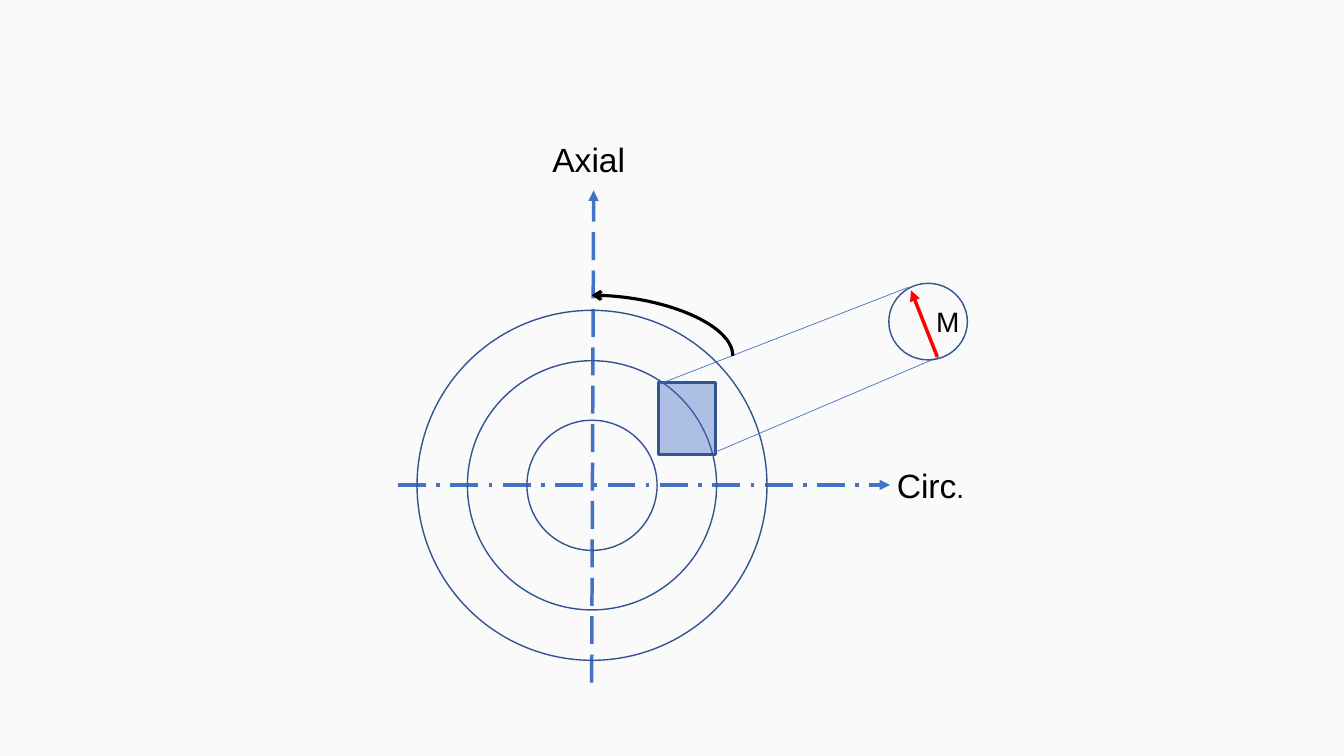
from pptx import Presentation
from pptx.dml.color import RGBColor
from pptx.enum.dml import MSO_LINE_DASH_STYLE as Dash
from pptx.enum.shapes import MSO_CONNECTOR as Route, MSO_SHAPE as Preset
from pptx.enum.text import MSO_AUTO_SIZE as AutoSize
from pptx.oxml.ns import qn
from pptx.util import Cm, Pt
from lxml.etree import SubElement

BACKGROUND = RGBColor(0xFA, 0xFA, 0xFA)
BLUE = RGBColor(0x44, 0x72, 0xC4)
OUTLINE = RGBColor(0x32, 0x54, 0x91)
RED = RGBColor(0xFF, 0x00, 0x00)
BLACK = RGBColor(0x00, 0x00, 0x00)

RING_CENTRE = (14.92, 12.23)
RING_RADII = (1.64, 3.14, 4.41)


def add_line(slide, start, end, color, width, dash=None, head=None, tail=None,
             route=Route.STRAIGHT):
    """Draw a line; head and tail name the arrowheads at start and end."""
    line = slide.shapes.add_connector(route, *map(Cm, start + end))
    line.line.color.rgb = color
    line.line.width = Pt(width)
    if dash:
        line.line.dash_style = dash
    properties = line._element.spPr
    outline = properties.find(qn("a:ln"))
    for end_tag, arrowhead in (("a:headEnd", head), ("a:tailEnd", tail)):
        if arrowhead:
            SubElement(outline, qn(end_tag), type=arrowhead)
    SubElement(properties, qn("a:effectLst"))
    return line


def add_quarter_arc(slide, start, end, **line_format):
    """Draw a curve that leaves start sideways and reaches end vertically."""
    arc = add_line(slide, start, end, route=Route.CURVE, **line_format)
    arc._element.spPr.find(qn("a:prstGeom")).set("prst", "curvedConnector2")


def add_outline(slide, preset, box, width=1, fill=None, opacity=100):
    shape = slide.shapes.add_shape(preset, *map(Cm, box))
    shape.shadow.inherit = False
    shape.line.color.rgb = OUTLINE
    shape.line.width = Pt(width)
    if fill is None:
        shape.fill.background()
        return
    shape.fill.solid()
    shape.fill.fore_color.rgb = fill
    color = shape._element.spPr.find(qn("a:solidFill"))[0]
    SubElement(color, qn("a:alpha"), val=str(opacity * 1000))


def add_rings(slide):
    x, y = RING_CENTRE
    for radius in RING_RADII:
        add_outline(slide, Preset.OVAL,
                    (x - radius, y - radius, 2 * radius, 2 * radius))


def add_run(paragraph, text, size=24, color=BLACK, font="Arial"):
    run = paragraph.add_run()
    run.text = text
    run.font.size = Pt(size)
    run.font.name = font
    run.font.color.rgb = color


def add_label(slide, box, *parts, wrap=True):
    """Add a one-line label from (text, size) parts."""
    frame = slide.shapes.add_textbox(*map(Cm, box)).text_frame
    frame.word_wrap = wrap
    frame.auto_size = AutoSize.SHAPE_TO_FIT_TEXT
    for text, size in parts:
        add_run(frame.paragraphs[0], text, size=size)


def main():
    deck = Presentation()
    deck.slide_width, deck.slide_height = Cm(33.87), Cm(19.05)
    slide = deck.slides.add_slide(deck.slide_layouts[6])
    slide.background.fill.solid()
    slide.background.fill.fore_color.rgb = BACKGROUND

    add_line(slide, (14.91, 17.2), (14.96, 4.8), BLUE, 2.5,
             dash=Dash.LONG_DASH, tail="triangle")
    add_line(slide, (10.03, 12.22), (22.43, 12.22), BLUE, 2.5,
             dash=Dash.LONG_DASH_DOT, tail="triangle")
    add_rings(slide)

    add_outline(slide, Preset.RECTANGLE, (16.59, 9.65, 1.45, 1.8),
                width=2.25, fill=BLUE, opacity=42)
    add_line(slide, (16.56, 9.7), (22.89, 7.24), BLUE, 0.5)
    add_line(slide, (18.01, 11.4), (23.67, 8.99), BLUE, 0.5)
    add_outline(slide, Preset.OVAL, (22.4, 7.14, 1.98, 1.93))

    add_label(slide, (13.67, 3.38, 2.46, 1.27), ("Axial", 24))
    add_label(slide, (22.35, 11.58, 2.24, 1.27), ("Circ", 24), (".", 20),
              wrap=False)
    add_label(slide, (23.34, 7.54, 0.84, 1.12), ("M", 20))

    add_line(slide, (23.62, 8.99), (22.96, 7.32), RED, 2.5, tail="triangle")
    add_quarter_arc(slide, (14.91, 7.44), (18.47, 8.97),
                    color=BLACK, width=2.25, head="arrow")
    deck.save("out.pptx")


if __name__ == "__main__":
    main()
